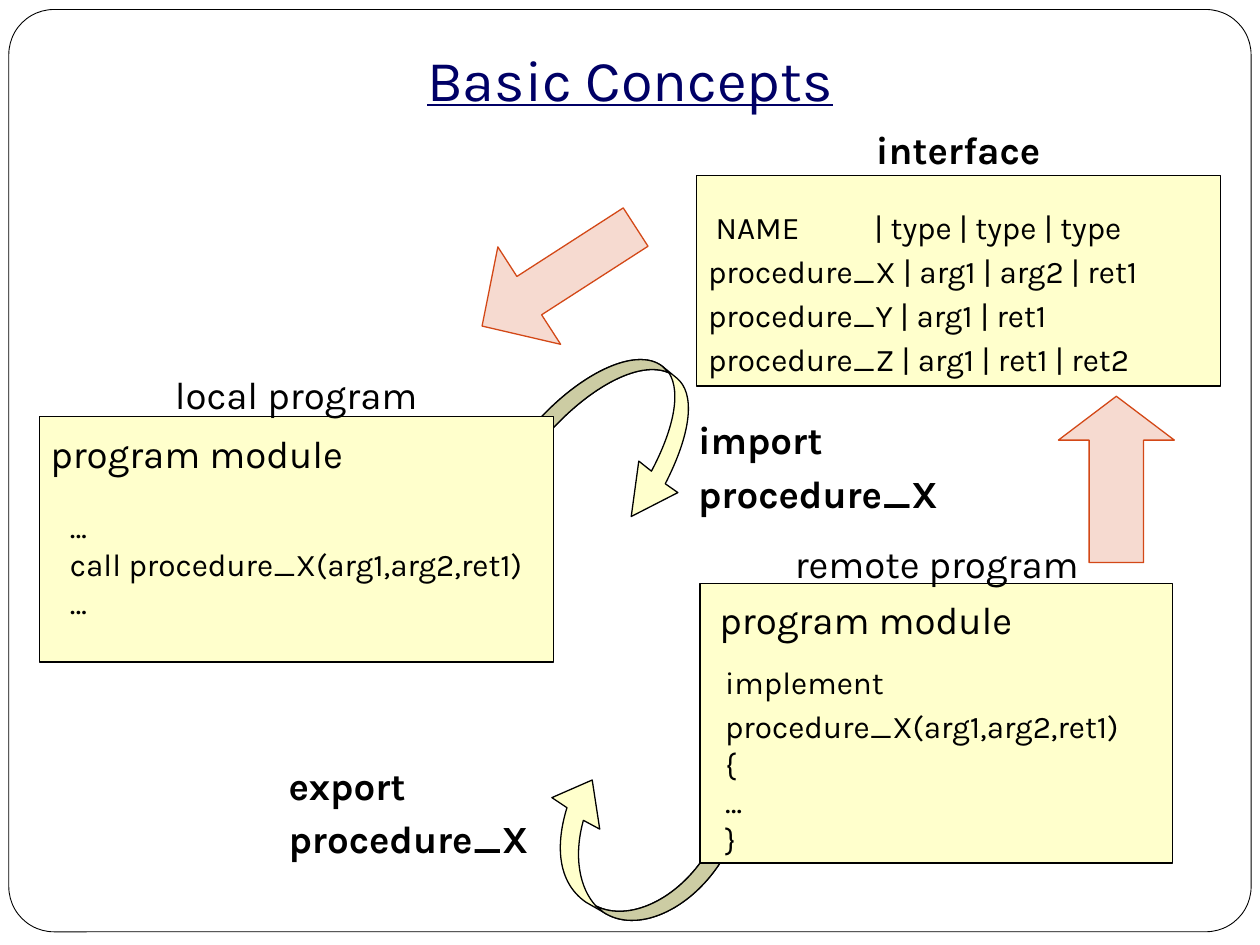
from math import cos, radians, sin

from lxml import etree
from pptx import Presentation
from pptx.dml.color import RGBColor
from pptx.enum.shapes import MSO_SHAPE
from pptx.enum.text import PP_ALIGN
from pptx.oxml.ns import qn
from pptx.util import Inches, Pt

RECT = MSO_SHAPE.RECTANGLE
ROUND = MSO_SHAPE.ROUNDED_RECTANGLE
ARROW = MSO_SHAPE.RIGHT_ARROW
LEFT, MID = PP_ALIGN.LEFT, PP_ALIGN.CENTER

COLS, ROWS = 100, 75
CELL = Inches(10) / COLS
FONT = "Karla"
HUES = {"paper": "FFFFFF", "ink": "000000", "title": "000066",
        "box": "FFFFCC", "arrow": "D34817"}

TITLE = ("Basic Concepts", (3.9, 3.47, 92.2, 5.5))
FRAME = (0.7, 0.75, 98.6, 73.2)
BOXES = [(3.13, 33.05, 40.8, 19.5), (55.55, 46.3, 37.5, 22.2),
         (55.27, 13.95, 41.6, 16.7)]
LABELS = [
    ("program module", (3.1, 33.05, 28, 5.2), LEFT, False),
    ("program module", (56.2, 46.25, 27.1, 5.2), LEFT, False),
    ("local program", (11.4, 28.4, 24.2, 5.2), MID, False),
    ("remote program", (61.5, 41.8, 25.7, 9.4), MID, False),
    ("import procedure_X", (54.5, 31.95, 26.7, 9.4), LEFT, True),
    ("export procedure_X", (22, 59.4, 22.3, 9.4), LEFT, True),
    ("interface", (62.7, 8.9, 26.7, 5.2), MID, True),
]
WIDE = 1.16
CODE = [
    ((4.65, 39.75, 40.1, 9.9),
     [("…", 1), ("call procedure_X(arg1,arg2,ret1)", 1), ("…", 1)]),
    ((56.65, 51.65, 38.7, 16.9),
     [("implement procedure_X(arg1,arg2,ret1)", WIDE),
      ("{", 1), ("…", 1), ("}", 1)]),
    ((55.3, 15.55, 42.3, 14.8),
     [("\tNAME\t| type | type | type", WIDE),
      ("procedure_X | arg1 | arg2 | ret1", WIDE),
      ("procedure_Y | arg1 | ret1", WIDE),
      ("procedure_Z | arg1 | ret1 | ret2", WIDE)]),
]
TABS = (0.6, 13.2)
ARROWS = [((37.1, 17.35, 14.5, 9.2), 147.2, (0.394, 0.484)),
          ((82, 33.45, 13.2, 9.2), 270, (0.47, 0.378))]
BENDS = [
    {"box": (41.7, 63.9, 14.4, 8.4), "turn": 212.8,
     "tail": [(57.2, 68.4), (54.7, 72.3, 50.5, 74.1, 47.9, 72.4)],
     "head": [(46.5, 71.6), (44.2, 70, 44.1, 67, 45, 64.1),
              (43.8, 63.3), (47, 61.9), (47.6, 65.8), (46.3, 65.1),
              (45.5, 68, 46, 70.5, 47.3, 71.9)],
     "join": (47.3, 71.9),
     "back": [(49.9, 73.2, 53.8, 71.4, 56.1, 67.7)]},
    {"box": (44, 28.7, 12.5, 10.8), "turn": 39.4,
     "tail": [(41.9, 34.3), (45.7, 29.7, 50.5, 27.4, 52.6, 29.1)],
     "head": [(53.7, 30), (55.2, 31.2, 54.9, 34.3, 52.8, 38.4),
              (53.8, 39.1), (50.1, 41), (50.7, 36.6), (51.7, 37.4),
              (53.4, 34.2, 54.1, 31.2, 53.1, 29.6)],
     "join": (53.1, 29.6),
     "back": [(50.7, 28.5, 46.4, 30.9, 42.9, 35.1)]},
]


def hue(name):
    return RGBColor.from_string(HUES[name])


def place(box):
    return [round(n * CELL) for n in box]


def paint(shape, fill, line="ink", width=0.75):
    shape.shadow.inherit = False
    shape.fill.solid()
    shape.fill.fore_color.rgb = hue(fill)
    shape.line.color.rgb = hue(line)
    shape.line.width = Pt(width)


def bend(box, turn, tail, head, join, back):
    left, top, wide, high = place(box)
    pen = slide.shapes.build_freeform(left, top)
    pen.add_line_segments([(left + wide, top), (left + wide, top + high),
                           (left, top + high)], close=True)
    shape = pen.convert_to_shape()
    paint(shape, "box")
    shape.rotation = turn
    c, s = cos(radians(turn)), sin(radians(turn))
    paths = shape._element.spPr.find(qn("a:custGeom")).find(qn("a:pathLst"))
    paths.remove(paths[0])
    for parts, tone in ((tail + head + back, "norm"),
                        (tail + [join] + back, "darkenLess")):
        line = etree.SubElement(paths, qn("a:path"), w=str(wide),
                                h=str(high), fill=tone)
        for i, part in enumerate(parts):
            kind = "cubicBezTo" if len(part) > 2 else "lnTo" if i else "moveTo"
            node = etree.SubElement(line, qn("a:" + kind))
            spots = place(part)
            for x, y in zip(spots[::2], spots[1::2]):
                dx, dy = x - left - wide / 2, y - top - high / 2
                etree.SubElement(node, qn("a:pt"),
                                 x=str(round(wide / 2 + c * dx + s * dy)),
                                 y=str(round(high / 2 + c * dy - s * dx)))
        etree.SubElement(line, qn("a:close"))


def write(box, lines, size, align=LEFT, bold=False, color="ink",
          under=False, pad=(0.09, 0.05)):
    frame = slide.shapes.add_textbox(*place(box)).text_frame
    frame.word_wrap = True
    frame.margin_left = frame.margin_right = Inches(pad[0])
    frame.margin_top = frame.margin_bottom = Inches(pad[1])
    for i, (text, space) in enumerate(lines):
        para = frame.add_paragraph() if i else frame.paragraphs[0]
        para.alignment = align
        para.line_spacing = float(space)
        if "\t" in text:
            stops = etree.SubElement(para._p.get_or_add_pPr(), qn("a:tabLst"))
            for stop in TABS:
                etree.SubElement(stops, qn("a:tab"),
                                 pos=str(round(stop * CELL)), algn="l")
        run = para.add_run()
        run.text = text
        font = run.font
        font.name, font.size, font.bold = FONT, Pt(size), bold
        font.underline = under
        font.color.rgb = hue(color)


deck = Presentation()
deck.slide_width, deck.slide_height = place((COLS, ROWS))
slide = deck.slides.add_slide(deck.slide_layouts[6])

frame = slide.shapes.add_shape(ROUND, *place(FRAME))
frame.adjustments[0] = 0.049
paint(frame, "paper", width=0.5)
write(TITLE[1], [(TITLE[0], 1)], 33, MID, color="title", under=True, pad=(0, 0))

for item in BENDS:
    bend(**item)
for box in BOXES:
    paint(slide.shapes.add_shape(RECT, *place(box)), "box")
for text, box, align, bold in LABELS:
    write(box, [(text, WIDE)], 22, align, bold)
for box, lines in CODE:
    write(box, lines, 18)

for box, turn, shape in ARROWS:
    arrow = slide.shapes.add_shape(ARROW, *place(box))
    arrow.rotation = turn
    for i, share in enumerate(shape):
        arrow.adjustments[i] = share
    paint(arrow, "arrow", "arrow")
    tint = arrow._element.spPr.find(qn("a:solidFill"))[0]
    etree.SubElement(tint, qn("a:alpha"), val="20000")

deck.save("out.pptx")
